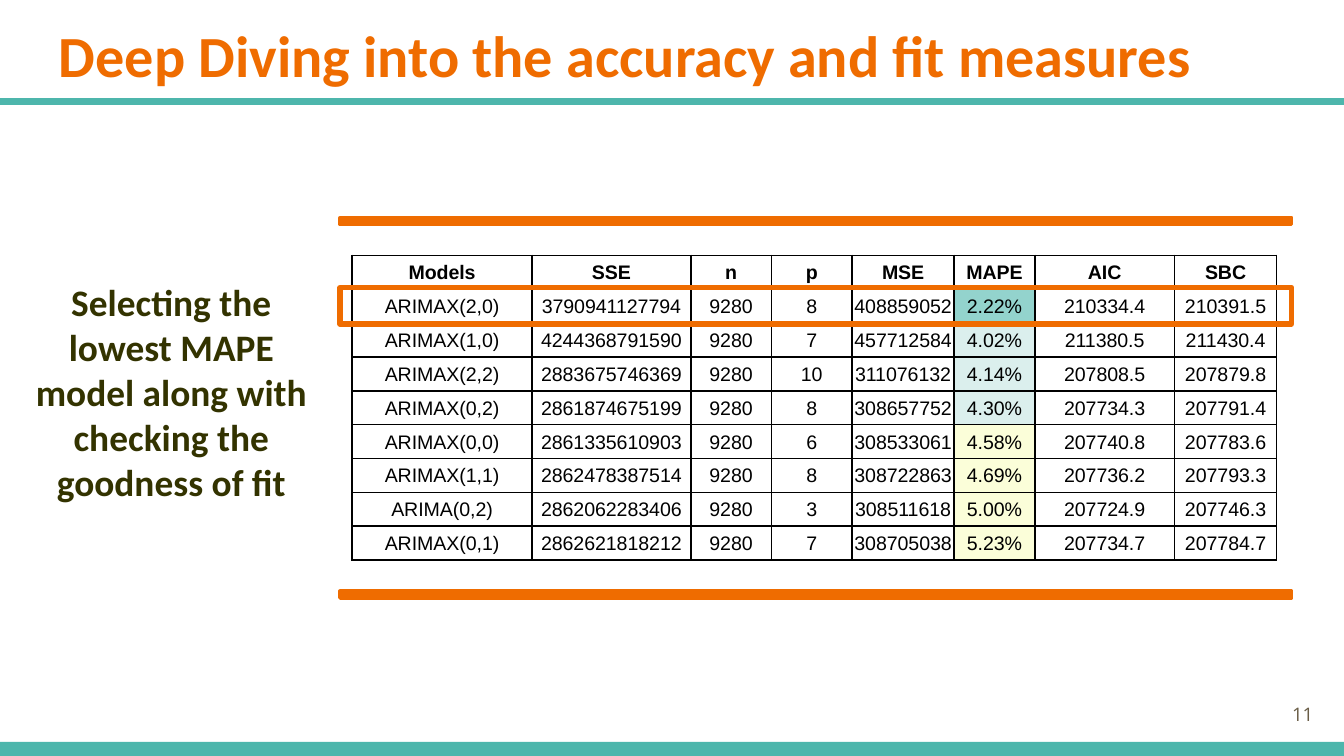
from lxml.etree import SubElement
from pptx import Presentation
from pptx.dml.color import RGBColor
from pptx.enum.shapes import MSO_SHAPE as Shape
from pptx.enum.text import MSO_ANCHOR as Anchor, PP_ALIGN as Align
from pptx.oxml.ns import qn
from pptx.util import Inches, Pt

TEAL = RGBColor(0x4D, 0xB6, 0xAC)
ORANGE = RGBColor(0xEF, 0x6C, 0x00)
OLIVE = RGBColor(0x33, 0x33, 0x00)
BROWN = RGBColor(0x69, 0x5D, 0x46)
BLACK = RGBColor(0x00, 0x00, 0x00)
BEST = RGBColor(0x93, 0xD3, 0xCD)
GOOD = RGBColor(0xDB, 0xEF, 0xED)
FAIR = RGBColor(0xFB, 0xFE, 0xD9)

HEADER = ["Models", "SSE", "n", "p", "MSE", "MAPE", "AIC", "SBC"]
MODELS = [
    ["ARIMAX(2,0)", "3790941127794", "9280", "8", "408859052", "2.22%", "210334.4", "210391.5"],
    ["ARIMAX(1,0)", "4244368791590", "9280", "7", "457712584", "4.02%", "211380.5", "211430.4"],
    ["ARIMAX(2,2)", "2883675746369", "9280", "10", "311076132", "4.14%", "207808.5", "207879.8"],
    ["ARIMAX(0,2)", "2861874675199", "9280", "8", "308657752", "4.30%", "207734.3", "207791.4"],
    ["ARIMAX(0,0)", "2861335610903", "9280", "6", "308533061", "4.58%", "207740.8", "207783.6"],
    ["ARIMAX(1,1)", "2862478387514", "9280", "8", "308722863", "4.69%", "207736.2", "207793.3"],
    ["ARIMA(0,2)", "2862062283406", "9280", "3", "308511618", "5.00%", "207724.9", "207746.3"],
    ["ARIMAX(0,1)", "2862621818212", "9280", "7", "308705038", "5.23%", "207734.7", "207784.7"],
]
MAPE_FILLS = [BEST] + [GOOD] * 3 + [FAIR] * 4
COLUMN_WIDTHS = [1.34, 1.18, 0.6, 0.6, 0.76, 0.6, 1.04, 0.76]
TABLE_HEIGHT = 2.27


def write_text(frame, text, font, size, color, bold=False, align=Align.LEFT,
               anchor=Anchor.TOP, margins=(0.1, 0.1, 0.1, 0.1)):
    """Fill a text frame; margins are left, top, right, bottom in inches."""
    frame.word_wrap = True
    frame.vertical_anchor = anchor
    (frame.margin_left, frame.margin_top,
     frame.margin_right, frame.margin_bottom) = map(Inches, margins)
    para = frame.paragraphs[0]
    para.alignment = align
    para.line_spacing = 1.0
    span = para.add_run()
    span.text = text
    span.font.name = font
    span.font.size = Pt(size)
    span.font.bold = bold
    span.font.color.rgb = color


def add_bar(left, top, width, height, fill=None, line=None, line_width=2):
    bar = page.shapes.add_shape(Shape.RECTANGLE, Inches(left), Inches(top),
                                Inches(width), Inches(height))
    bar.shadow.inherit = False
    if fill is None:
        bar.fill.background()
    else:
        bar.fill.solid()
        bar.fill.fore_color.rgb = fill
    if line is None:
        bar.line.fill.background()
    else:
        bar.line.color.rgb = line
        bar.line.width = Pt(line_width)


deck = Presentation()
deck.slide_width = Inches(10)
deck.slide_height = Inches(10 * 9 / 16)
page = deck.slides.add_slide(deck.slide_layouts[5])

# Side message
message = page.shapes.title
message.left, message.top = Inches(0.15), Inches(1.98)
message.width, message.height = Inches(2.25), Inches(2.42)
write_text(message.text_frame,
           "Selecting the lowest MAPE model along with checking the goodness of fit",
           "Calibri", 20, OLIVE, bold=True, align=Align.CENTER)

# Teal bands and heading
add_bar(0, 5.52, 10, 0.11, fill=TEAL)
add_bar(0, 0.73, 10, 0.05, fill=TEAL)
heading = page.shapes.add_textbox(Inches(0.34), Inches(0.04), Inches(9.32), Inches(0.77))
write_text(heading.text_frame, "Deep Diving into the accuracy and fit measures",
           "Calibri", 31.2, ORANGE, bold=True)

page_number = page.shapes.add_textbox(Inches(9.27), Inches(5.1), Inches(0.6), Inches(0.43))
write_text(page_number.text_frame, "11", "Open Sans", 10, BROWN,
           align=Align.RIGHT, anchor=Anchor.MIDDLE)

# Model comparison table
rows = [HEADER] + MODELS
table = page.shapes.add_table(
    len(rows), len(HEADER), Inches(2.62), Inches(1.9),
    Inches(sum(COLUMN_WIDTHS)), Inches(TABLE_HEIGHT)).table
table.first_row = False
table.horz_banding = False
for column, width in zip(table.columns, COLUMN_WIDTHS):
    column.width = Inches(width)

for row_index, values in enumerate(rows):
    table.rows[row_index].height = Inches(TABLE_HEIGHT / len(rows))
    for column_index, value in enumerate(values):
        cell = table.cell(row_index, column_index)
        write_text(cell.text_frame, value, "Arial", 10.5, BLACK, bold=row_index == 0,
                   align=Align.CENTER)
        cell.vertical_anchor = Anchor.MIDDLE
        cell.margin_left = cell.margin_top = cell.margin_right = Inches(0.01)
        cell.margin_bottom = 0
        properties = cell._tc.get_or_add_tcPr()
        for side in ("a:lnL", "a:lnR", "a:lnT", "a:lnB"):
            border = SubElement(properties, qn(side), w=str(Pt(1)))
            fill = SubElement(border, qn("a:solidFill"))
            SubElement(fill, qn("a:srgbClr"), val=str(BLACK))
        if row_index and HEADER[column_index] == "MAPE":
            cell.fill.solid()
            cell.fill.fore_color.rgb = MAPE_FILLS[row_index - 1]
        else:
            cell.fill.background()

# Orange rules around the table and frame on the best model
for top in (1.62, 4.4):
    add_bar(2.53, top, 7.08, 0.05, fill=ORANGE, line=ORANGE)
add_bar(2.53, 2.14, 7.08, 0.27, line=ORANGE, line_width=3)

deck.save("out.pptx")
